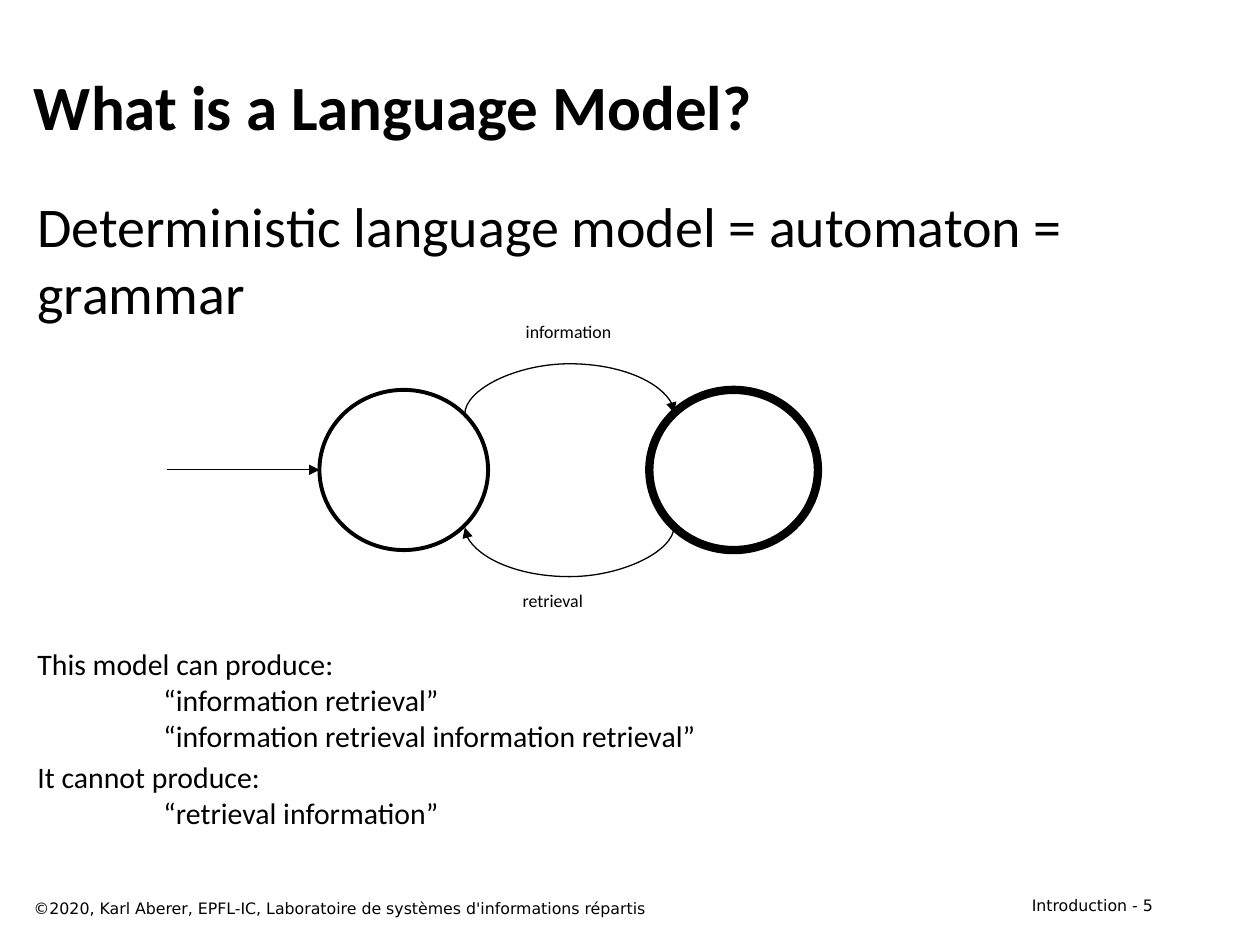
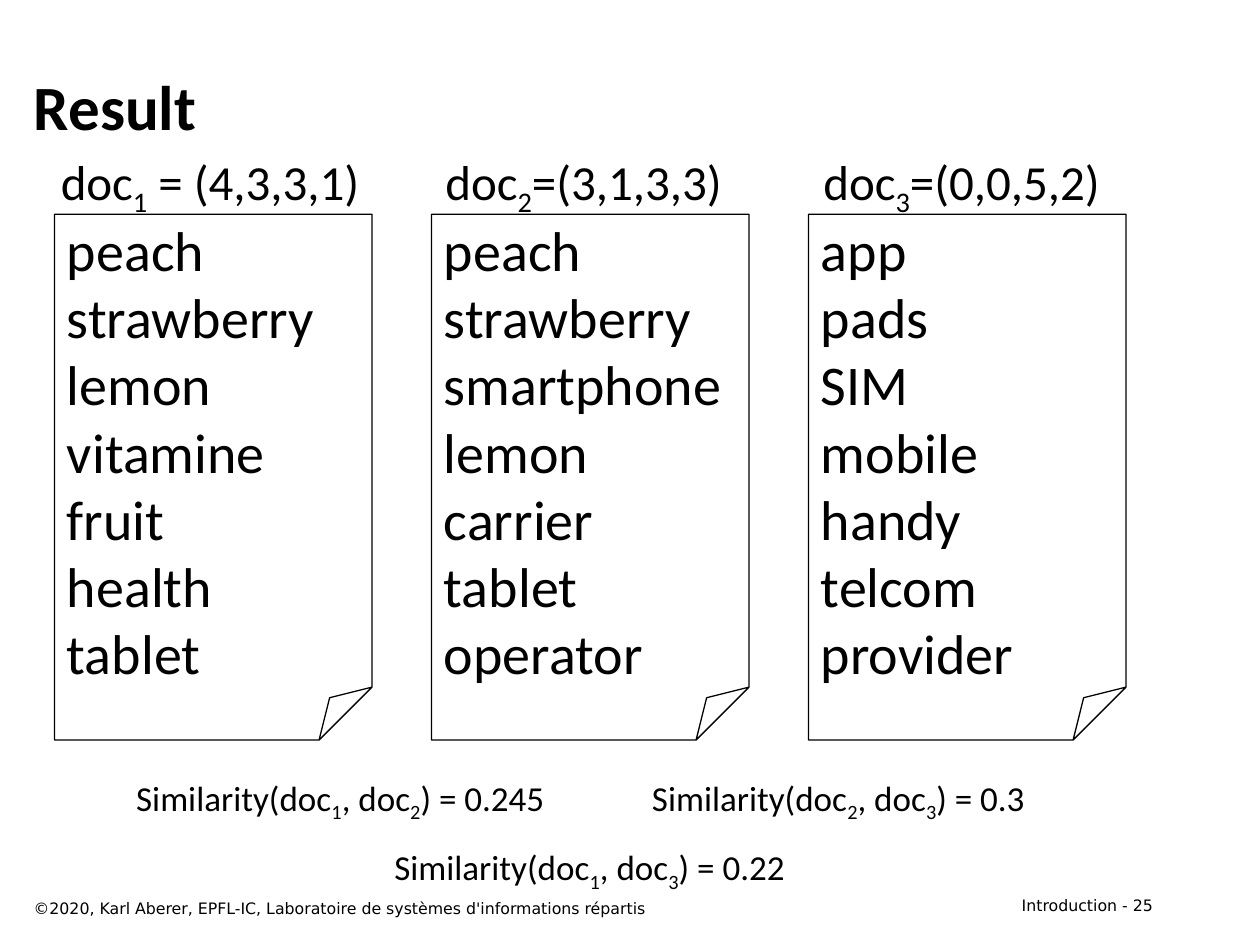
from lxml.etree import SubElement
from pptx import Presentation
from pptx.dml.color import RGBColor
from pptx.enum.shapes import MSO_CONNECTOR as Connector, MSO_SHAPE as Shape
from pptx.enum.text import MSO_ANCHOR as Anchor, MSO_AUTO_SIZE as AutoSize, PP_ALIGN as Align
from pptx.oxml.ns import qn
from pptx.util import Cm, Pt

BLACK = RGBColor(0, 0, 0)
WHITE = RGBColor(255, 255, 255)
MAIN_FONT = "Calibri"
FOOTER_FONT = "DejaVu Sans"
COPYRIGHT = "©2020, Karl Aberer, EPFL-IC, Laboratoire de systèmes d'informations répartis"
TITLE_ONLY, TITLE_AND_BODY = 5, 1

ARC_CENTER_X = 11.48
ARC_SPAN = 4.22
ARC_RISE = 1.02
ARC_SLANT = 0.03  # height difference between the two ends of an arc

DOCUMENTS = [
    ["peach", "strawberry", "lemon", "vitamine", "fruit", "health", "tablet"],
    ["peach", "strawberry", "smartphone", "lemon", "carrier", "tablet", "operator"],
    ["app", "pads", "SIM", "mobile", "handy", "telcom", "provider"],
]
# Every second part of a formula is a subscript.
VECTORS = [
    (0.72, 7.03, ["doc", "1", " = (4,3,3,1)"]),
    (8.49, 6.55, ["doc", "2", "=(3,1,3,3)"]),
    (16.11, 6.55, ["doc", "3", "=(0,0,5,2)"]),
]
SIMILARITIES = [
    (2.24, 15.52, 9.24, "1", "2", "0.245"),
    (12.65, 15.52, 8.5, "2", "3", "0.3"),
    (7.47, 16.92, 8.83, "1", "3", "0.22"),
]


def place(shape, left, top, width, height):
    shape.left, shape.top = Cm(left), Cm(top)
    shape.width, shape.height = Cm(width), Cm(height)


def format_font(font, size, name=MAIN_FONT, bold=False):
    font.name, font.size, font.bold = name, Pt(size), bold
    font.color.rgb = BLACK


def add_text(slide, box, parts, size, align=Align.CENTER, font=MAIN_FONT, wrap=False):
    """Add one line of text; every second part is a subscript."""
    text_frame = slide.shapes.add_textbox(*map(Cm, box)).text_frame
    text_frame.word_wrap = wrap
    paragraph = text_frame.paragraphs[0]
    paragraph.alignment = align
    for index, part in enumerate(parts):
        run = paragraph.add_run()
        run.text = part
        format_font(run.font, size, font)
        if index % 2:
            run.font._element.set("baseline", "-25000")


def add_slide(presentation, layout, title_text, number):
    slide = presentation.slides.add_slide(presentation.slide_layouts[layout])
    title = slide.shapes.title
    place(title, 0.43, 0.86, 23.06, 2.54)
    title.text_frame.text = title_text
    title.text_frame.vertical_anchor = Anchor.MIDDLE
    title.text_frame.auto_size = AutoSize.NONE
    paragraph = title.text_frame.paragraphs[0]
    paragraph.alignment = Align.LEFT
    format_font(paragraph.runs[0].font, 36, bold=True)
    add_text(slide, (18.21, 17.93, 5.28, 0.64), [f"Introduction - {number}"], 9,
             Align.RIGHT, FOOTER_FONT, wrap=True)
    add_text(slide, (0.43, 17.99, 16.31, 0.64), [COPYRIGHT], 9,
             Align.LEFT, FOOTER_FONT, wrap=True)
    return slide


def fill_body(body, lines):
    """Fill the list with (text, size, indent in cm, space before in pt)."""
    place(body, 0.5, 3.73, 23.06, 13.97)
    text_frame = body.text_frame
    text_frame.text = "\n".join(line[0] for line in lines)
    text_frame.auto_size = AutoSize.NONE
    for paragraph, (_, size, indent, space) in zip(text_frame.paragraphs, lines):
        properties = paragraph._p.get_or_add_pPr()
        properties.set("marL", str(Cm(indent)))
        properties.set("indent", "0")
        SubElement(properties, qn("a:buNone"))
        paragraph.alignment = Align.LEFT
        paragraph.space_before = Pt(space)
        format_font(paragraph.runs[0].font, size)


def outline(shape, width):
    shape.line.color.rgb = BLACK
    shape.line.width = Pt(width)


def add_state(slide, left, line_width):
    circle = slide.shapes.add_shape(Shape.OVAL, Cm(left), Cm(7.86), Cm(3.4), Cm(3.23))
    circle.shadow.inherit = False
    circle.fill.solid()
    circle.fill.fore_color.rgb = WHITE
    outline(circle, line_width)


def add_arrow(slide, kind, begin, end):
    arrow = slide.shapes.add_connector(kind, *map(Cm, begin + end))
    outline(arrow, 0.75)
    SubElement(arrow.line._get_or_add_ln(), qn("a:tailEnd"), type="triangle")
    SubElement(arrow._element.spPr, qn("a:effectLst"))
    return arrow


def add_arc(slide, center_y, side):
    """Add a curved arrow that bulges up (side 1) or down (side -1)."""
    dx, dy = side * ARC_SLANT / 2, side * ARC_SPAN / 2
    arc = add_arrow(slide, Connector.CURVE, (ARC_CENTER_X + dx, center_y + dy),
                    (ARC_CENTER_X - dx, center_y - dy))
    properties = arc._element.spPr
    properties.find(qn("a:xfrm")).set("rot", str(90 * 60000))
    geometry = properties.find(qn("a:prstGeom"))
    adjustments = geometry.find(qn("a:avLst"))
    if adjustments is None:
        adjustments = SubElement(geometry, qn("a:avLst"))
    bulge = round(ARC_RISE / ARC_SLANT * 100000)
    SubElement(adjustments, qn("a:gd"), name="adj1", fmla=f"val {bulge}")


def add_document(slide, left, words):
    page = slide.shapes.add_shape(Shape.FOLDED_CORNER, Cm(left), Cm(4.32), Cm(6.4), Cm(10.6))
    page.shadow.inherit = False
    page.fill.background()
    outline(page, 0.75)
    text_frame = page.text_frame
    text_frame.text = "\n".join(words)
    text_frame.vertical_anchor = Anchor.MIDDLE
    for paragraph in text_frame.paragraphs:
        paragraph.alignment = Align.LEFT
        format_font(paragraph.runs[0].font, 32)


def build_language_model(presentation):
    slide = add_slide(presentation, TITLE_AND_BODY, "What is a Language Model?", 5)
    fill_body(slide.placeholders[1], [
        ("Deterministic language model = automaton = grammar", 32, 0, 0),
        ("This model can produce:", 17, 0, 183),
        ("“information retrieval”", 17, 2.54, 0),
        ("“information retrieval information retrieval”", 17, 2.54, 0),
        ("It cannot produce:", 17, 0, 3.4),
        ("“retrieval information”", 17, 2.54, 0),
    ])
    add_state(slide, 6.44, 2.25)
    add_state(slide, 13.09, 4.75)
    add_arrow(slide, Connector.STRAIGHT, (3.36, 9.47), (6.44, 9.47))
    add_arc(slide, 8.34, 1)
    add_arc(slide, 10.62, -1)
    add_text(slide, (10.33, 6.34, 2.26, 0.69), ["information"], 10.2)
    add_text(slide, (10.27, 11.76, 1.75, 0.69), ["retrieval"], 10.2)


def build_result(presentation):
    slide = add_slide(presentation, TITLE_ONLY, "Result", 25)
    for left, width, parts in VECTORS:
        add_text(slide, (left, 2.92, width, 1.45), parts, 28)
    for column, words in enumerate(DOCUMENTS):
        add_document(slide, 1.1 + column * 7.6, words)
    for left, top, width, first, second, value in SIMILARITIES:
        parts = ["Similarity(doc", first, ", doc", second, f") = {value}"]
        add_text(slide, (left, top, width, 1.12), parts, 20)


def main():
    presentation = Presentation()
    presentation.slide_width, presentation.slide_height = Cm(25.4), Cm(19.05)
    build_language_model(presentation)
    build_result(presentation)
    presentation.save("out.pptx")


if __name__ == "__main__":
    main()
